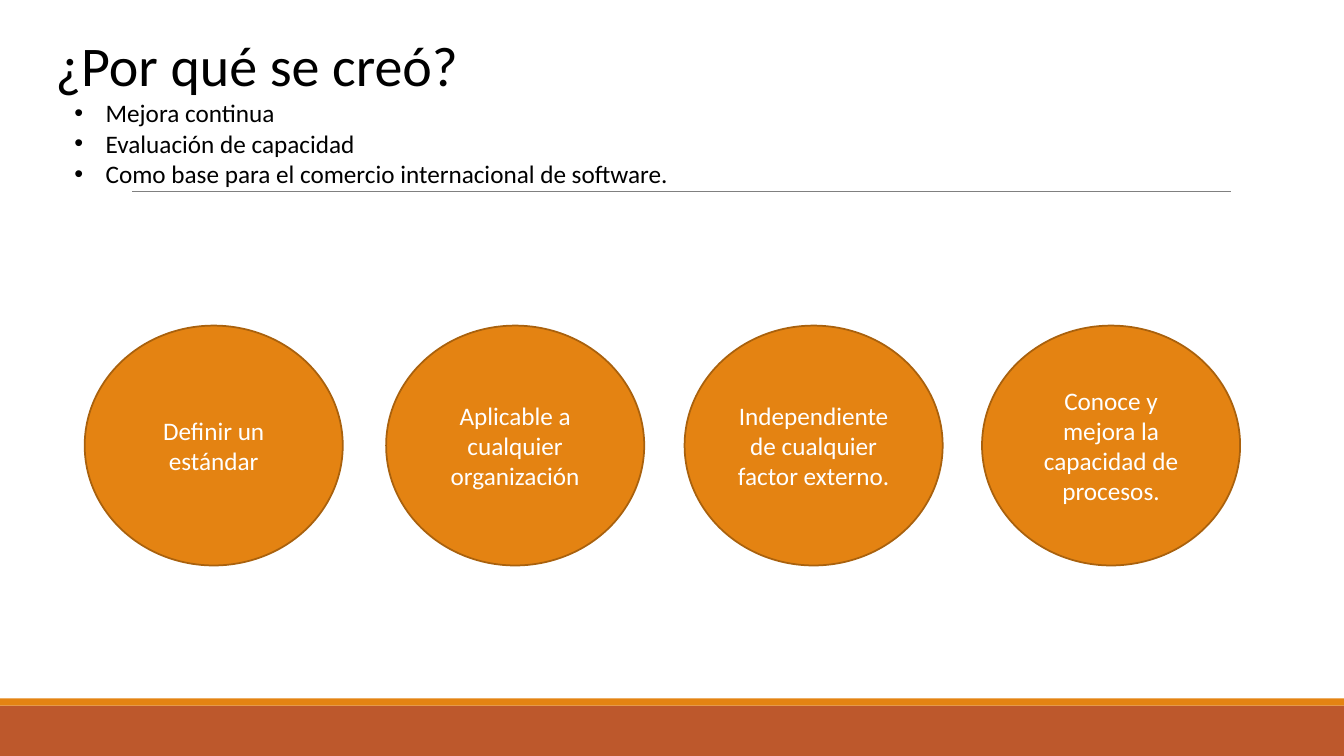
import lxml.etree
import pptx
import pptx.dml.color
import pptx.enum.shapes
import pptx.enum.text
import pptx.oxml.ns
import pptx.util

Inches = pptx.util.Inches
Pt = pptx.util.Pt
SHAPES = pptx.enum.shapes.MSO_SHAPE
qn = pptx.oxml.ns.qn


def paint(color_format, hex_color):
    color_format.rgb = pptx.dml.color.RGBColor.from_string(hex_color)


def write(frame, text, size, hex_color):
    """Fill a text frame, one paragraph per line of text."""
    frame.word_wrap = True
    frame.text = text
    for paragraph in frame.paragraphs:
        for run in paragraph.runs:
            run.font.name = "Calibri"
            run.font.size = Pt(size)
            paint(run.font.color, hex_color)


presentation = pptx.Presentation()
presentation.slide_width = Inches(13.33)
presentation.slide_height = Inches(7.5)
slide = presentation.slides.add_slide(presentation.slide_layouts[6])
shapes = slide.shapes

# Footer bands
for top, height, color in [(7, 0.5, "BD582C"), (6.93, 0.07, "E48312")]:
    band = shapes.add_shape(
        SHAPES.RECTANGLE, 0, Inches(top), presentation.slide_width, Inches(height)
    )
    band.shadow.inherit = False
    band.fill.solid()
    paint(band.fill.fore_color, color)
    band.line.fill.background()

# Rule under the heading
rule = shapes.add_connector(
    pptx.enum.shapes.MSO_CONNECTOR.STRAIGHT,
    Inches(1.31), Inches(1.9), Inches(12.21), Inches(1.9),
)
paint(rule.line.color, "808080")
rule.line.width = Pt(0.5)
lxml.etree.SubElement(rule._element.spPr, qn("a:effectLst"))

# Title and reasons
title = shapes.add_textbox(Inches(0.45), Inches(0.25), Inches(9.57), Inches(0.77))
write(title.text_frame, "¿Por qué se creó?", 40, "000000")

reasons = shapes.add_textbox(Inches(0.64), Inches(0.92), Inches(9.57), Inches(1.01))
write(
    reasons.text_frame,
    "Mejora continua\n"
    "Evaluación de capacidad\n"
    "Como base para el comercio internacional de software.",
    18,
    "000000",
)
for reason in reasons.text_frame.paragraphs:
    properties = reason._p.get_or_add_pPr()
    properties.set("marL", str(Inches(0.31)))
    properties.set("indent", str(-Inches(0.31)))
    lxml.etree.SubElement(properties, qn("a:buFont"), typeface="Arial")
    lxml.etree.SubElement(properties, qn("a:buChar"), char="•")

# Goals
goals = [
    (0.84, "Definir un estándar"),
    (3.83, "Aplicable a cualquier organización"),
    (6.79, "Independiente de cualquier factor externo."),
    (9.74, "Conoce y mejora la capacidad de procesos."),
]
for left, text in goals:
    goal = shapes.add_shape(
        SHAPES.OVAL, Inches(left), Inches(3.23), Inches(2.56), Inches(2.38)
    )
    goal.shadow.inherit = False
    goal.fill.solid()
    paint(goal.fill.fore_color, "E48312")
    paint(goal.line.color, "A9610D")
    goal.line.width = Pt(1.25)
    write(goal.text_frame, text, 18, "FFFFFF")
    goal.text_frame.vertical_anchor = pptx.enum.text.MSO_ANCHOR.MIDDLE
    goal.text_frame.paragraphs[0].alignment = pptx.enum.text.PP_ALIGN.CENTER

presentation.save("out.pptx")
